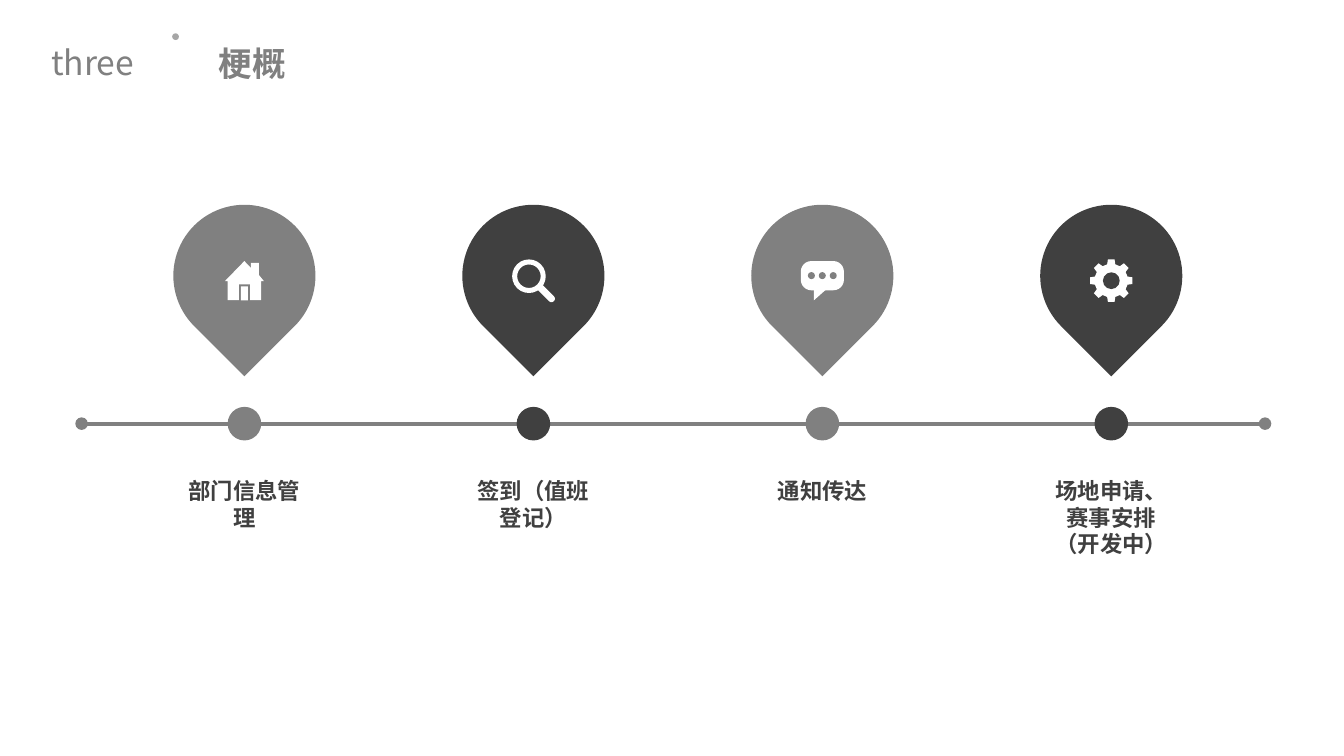
import math
from lxml import etree
from pptx import Presentation
from pptx import util as u
from pptx.dml import color
from pptx.enum import shapes, text
from pptx.oxml import ns

# Content: label, pin colour, icon
GREY, DARK, PALE, WHITE = "808080", "404040", "A6A6A6", "FFFFFF"
FONT = "Noto Sans CJK SC"
SECTION, TITLE = "three", "梗概"
STEPS = [
    ("部门信息管理", GREY, "house"),
    ("签到（值班登记）", DARK, "magnifier"),
    ("通知传达", GREY, "bubble"),
    ("场地申请、赛事安排（开发中）", DARK, "gear"),
]
HOUSE = [(10.4, -4), (10.4, -12.6), (4.7, -12.6), (4.7, -9), (0, -14),
         (-14, 0.4), (-11.9, 0.4), (-11.9, 14), (-4, 14), (-4, 2.7),
         (4, 2.7), (4, 14), (11.9, 14), (11.9, 0.4), (14, 0.4)]
BUBBLE_TAIL = [(-6, 6), (-6, 14), (2.5, 6.5)]

# Layout in points
FIRST_X, STEP_X = 174.6, 206.4
PIN_Y, PIN_SIZE, ICON_Y = 197, 101.5, 200.5
LINE_Y, LINE_LEFT, LINE_RIGHT, DOT_SIZE = 302.6, 58.3, 903.6, 24
LABEL_Y, LABEL_WIDTH, LABEL_HEIGHT = 337, 107.3, 46

presentation = Presentation()
presentation.slide_width, presentation.slide_height = u.Pt(960), u.Pt(540)
slide = presentation.slides.add_slide(presentation.slide_layouts[5])


def rgb(value):
    return color.RGBColor.from_string(value)


def paint(shape, fill):
    shape.fill.solid()
    shape.fill.fore_color.rgb = rgb(fill)
    shape.line.fill.background()
    shape.shadow.inherit = False
    return shape


def add_centred(kind, x, y, width, height, fill):
    shape = slide.shapes.add_shape(kind, u.Pt(x - width / 2), u.Pt(y - height / 2),
                                   u.Pt(width), u.Pt(height))
    return paint(shape, fill)


def add_circle(x, y, size, fill):
    return add_centred(shapes.MSO_SHAPE.OVAL, x, y, size, size, fill)


def add_outline(x, y, points, fill):
    corners = [(u.Pt(x + dx), u.Pt(y + dy)) for dx, dy in points]
    builder = slide.shapes.build_freeform(*corners[0], scale=1.0)
    builder.add_line_segments(corners[1:], close=True)
    return paint(builder.convert_to_shape(), fill)


def write(frame, words, size, fill, bold, align):
    frame.text = words
    paragraph = frame.paragraphs[0]
    paragraph.alignment = align
    font = paragraph.font
    font.name, font.size, font.bold = FONT, u.Pt(size), bold
    font.color.rgb = rgb(fill)
    east_asian = etree.SubElement(paragraph._p.pPr.find(ns.qn("a:defRPr")), ns.qn("a:ea"))
    east_asian.set("typeface", FONT)
    return paragraph


def add_text(x, y, width, height, words, size, fill, bold, wrap):
    box = slide.shapes.add_textbox(u.Pt(x), u.Pt(y), u.Pt(width), u.Pt(height))
    box.text_frame.word_wrap = wrap
    write(box.text_frame, words, size, fill, bold, text.PP_ALIGN.CENTER)


# Icons, each drawn around its centre
def draw_house(x, y, pin_fill):
    add_outline(x, y, HOUSE, WHITE)
    add_centred(shapes.MSO_SHAPE.RECTANGLE, x, y + 9, 5, 10, WHITE)


def draw_magnifier(x, y, pin_fill):
    lens = add_centred(shapes.MSO_SHAPE.DONUT, x - 3.2, y - 3.2, 24, 24, WHITE)
    lens.adjustments[0] = 0.15
    handle = add_centred(shapes.MSO_SHAPE.ROUNDED_RECTANGLE, x + 9, y + 9, 16, 5, WHITE)
    handle.adjustments[0] = 0.5
    handle.rotation = 45


def draw_bubble(x, y, pin_fill):
    body = add_centred(shapes.MSO_SHAPE.ROUNDED_RECTANGLE, x, y - 3.6, 30.8, 20.9, WHITE)
    body.adjustments[0] = 0.36
    add_outline(x, y, BUBBLE_TAIL, WHITE)
    for offset in (-7.8, 0, 7.8):
        add_circle(x + offset, y - 3.6, 5, pin_fill)


def draw_gear(x, y, pin_fill):
    points = []
    for tooth in range(8):
        for turn, radius in ((-14, 12), (-9, 15.3), (9, 15.3), (14, 12)):
            angle = math.radians(45 * tooth + turn)
            points.append((radius * math.cos(angle), radius * math.sin(angle)))
    add_outline(x, y, points, WHITE)
    add_circle(x, y, 12, pin_fill)


ICONS = {"house": draw_house, "magnifier": draw_magnifier,
         "bubble": draw_bubble, "gear": draw_gear}

# Heading
add_circle(125.4, 26.2, 4.8, PALE)
add_text(28.8, 26.6, 74.9, 36, SECTION, 24, GREY, False, False)
title = slide.shapes.title
title.left, title.top, title.width, title.height = (u.Pt(n) for n in (136.8, 23.8, 180, 46))
frame = title.text_frame
frame.auto_size = text.MSO_AUTO_SIZE.NONE
frame.vertical_anchor = text.MSO_ANCHOR.MIDDLE
frame.margin_left, frame.margin_right = u.Pt(19.4), u.Pt(21.6)
frame.margin_top = frame.margin_bottom = u.Pt(12.2)
write(frame, TITLE, 24, GREY, True, text.PP_ALIGN.JUSTIFY).line_spacing = 0.9

# Timeline with round ends
timeline = slide.shapes.add_connector(shapes.MSO_CONNECTOR.STRAIGHT, u.Pt(LINE_LEFT),
                                      u.Pt(LINE_Y), u.Pt(LINE_RIGHT), u.Pt(LINE_Y))
timeline.line.color.rgb = rgb(GREY)
timeline.line.width = u.Pt(3)
for end in ("a:headEnd", "a:tailEnd"):
    etree.SubElement(timeline.line._get_or_add_ln(), ns.qn(end)).set("type", "oval")
etree.SubElement(timeline._element.spPr, ns.qn("a:effectLst"))

# Steps: pin, icon, dot and label
for index, (label, fill, icon) in enumerate(STEPS):
    x = FIRST_X + index * STEP_X
    pin = add_centred(shapes.MSO_SHAPE.TEAR, x, PIN_Y, PIN_SIZE, PIN_SIZE, fill)
    pin.rotation = 135
    ICONS[icon](x, ICON_Y, fill)
    add_circle(x, LINE_Y, DOT_SIZE, fill)
    add_text(x - LABEL_WIDTH / 2, LABEL_Y, LABEL_WIDTH, LABEL_HEIGHT,
             label, 16, DARK, True, True)

presentation.save("out.pptx")
